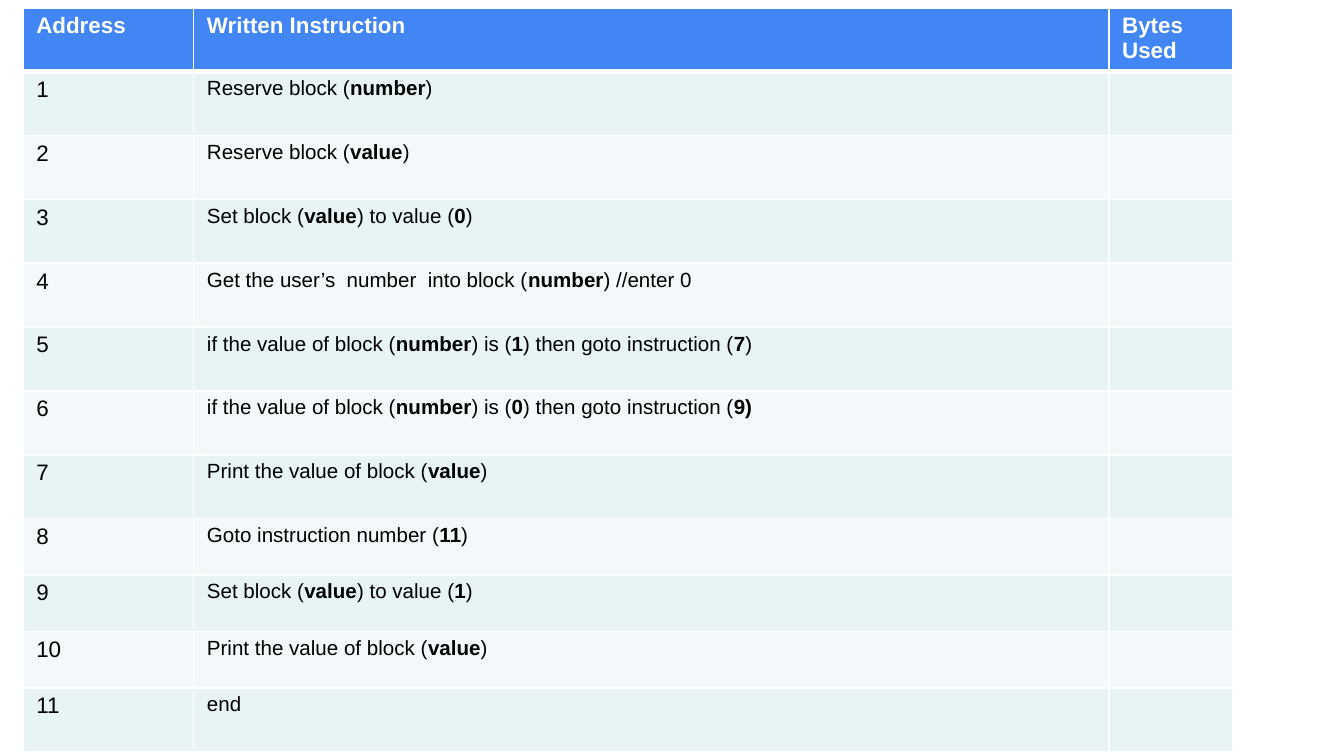
from lxml import etree
from pptx import Presentation
from pptx import util as u
from pptx.dml.color import RGBColor
from pptx.oxml.ns import qn

SLIDE_WIDTH = 10
SLIDE_HEIGHT = SLIDE_WIDTH * 9 / 16
HEADINGS = ["Address", "Written Instruction", "Bytes Used"]
# Asterisks enclose the bold parts
INSTRUCTIONS = [
    "Reserve block (*number*)",
    "Reserve block (*value*)",
    "Set block (*value*) to value (*0*)",
    "Get the user’s  number  into block (*number*) //enter 0",
    "if the value of block (*number*) is (*1*) then goto instruction (*7*)",
    "if the value of block (*number*) is (*0*) then goto instruction (*9)*",
    "Print the value of block (*value*)",
    "Goto instruction number (*11*)",
    "Set block (*value*) to value (*1*)",
    "Print the value of block (*value*)",
    "end",
]
COLUMN_WIDTHS = [1.27, 6.81, 0.92]
TALL, SHORT = 3.8 / 8, 0.42
ROW_HEIGHTS = [TALL] * 8 + [SHORT] * 3 + [TALL]
WHITE, BLACK, BLUE = "FFFFFF", "000000", "4285F4"
BANDS = ["E7F3F4", "F3F9FA"]
HEADING = {"size": u.Pt(12), "color": WHITE, "bold": True}
ADDRESS = {"size": u.Pt(12), "color": BLACK, "bold": False}
INSTRUCTION = {"size": u.Pt(11), "color": BLACK, "bold": False}


def rgb(color):
    return RGBColor.from_string(color)


def set_borders(cell, color, bottom_width):
    properties = cell._tc.get_or_add_tcPr()
    for side in "LRTB":
        width = u.Pt(bottom_width if side == "B" else 1)
        line = etree.SubElement(properties, qn(f"a:ln{side}"), w=str(int(width)))
        fill = etree.SubElement(line, qn("a:solidFill"))
        etree.SubElement(fill, qn("a:srgbClr"), val=color)


def style_cell(cell, fill, bottom_width=1):
    set_borders(cell, WHITE, bottom_width)
    cell.fill.solid()
    cell.fill.fore_color.rgb = rgb(fill)
    margins = {"left": 0.1, "top": 0.04, "right": 0.1, "bottom": 0.04}
    for side, margin in margins.items():
        setattr(cell, f"margin_{side}", u.Inches(margin))


def write(cell, marked_text, style):
    paragraph = cell.text_frame.paragraphs[0]
    for index, part in enumerate(marked_text.split("*")):
        if not part:
            continue
        run = paragraph.add_run()
        run.text = part
        font = {"name": "Arial", "size": style["size"],
                "bold": style["bold"] or index % 2 == 1}
        for attribute, value in font.items():
            setattr(run.font, attribute, value)
        run.font.color.rgb = rgb(style["color"])


def add_instruction_table(slide, left, top):
    table = slide.shapes.add_table(
        len(ROW_HEIGHTS), len(COLUMN_WIDTHS), u.Inches(left), u.Inches(top),
        u.Inches(sum(COLUMN_WIDTHS)), u.Inches(sum(ROW_HEIGHTS))).table
    for column, width in zip(table.columns, COLUMN_WIDTHS):
        column.width = u.Inches(width)
    for row, height in zip(table.rows, ROW_HEIGHTS):
        row.height = u.Inches(height)

    # Heading row
    for cell, heading in zip(table.rows[0].cells, HEADINGS):
        style_cell(cell, BLUE, bottom_width=3)
        write(cell, heading, HEADING)

    # Numbered instructions, with the bytes left for filling in
    for number, instruction in enumerate(INSTRUCTIONS, start=1):
        for cell in table.rows[number].cells:
            style_cell(cell, BANDS[(number - 1) % 2])
        write(table.cell(number, 0), str(number), ADDRESS)
        write(table.cell(number, 1), instruction, INSTRUCTION)


def main():
    deck = Presentation()
    deck.slide_width = u.Inches(SLIDE_WIDTH)
    deck.slide_height = u.Inches(SLIDE_HEIGHT)
    slide = deck.slides.add_slide(deck.slide_layouts[6])
    add_instruction_table(slide, 0.17, 0.06)
    deck.save("out.pptx")


if __name__ == "__main__":
    main()
